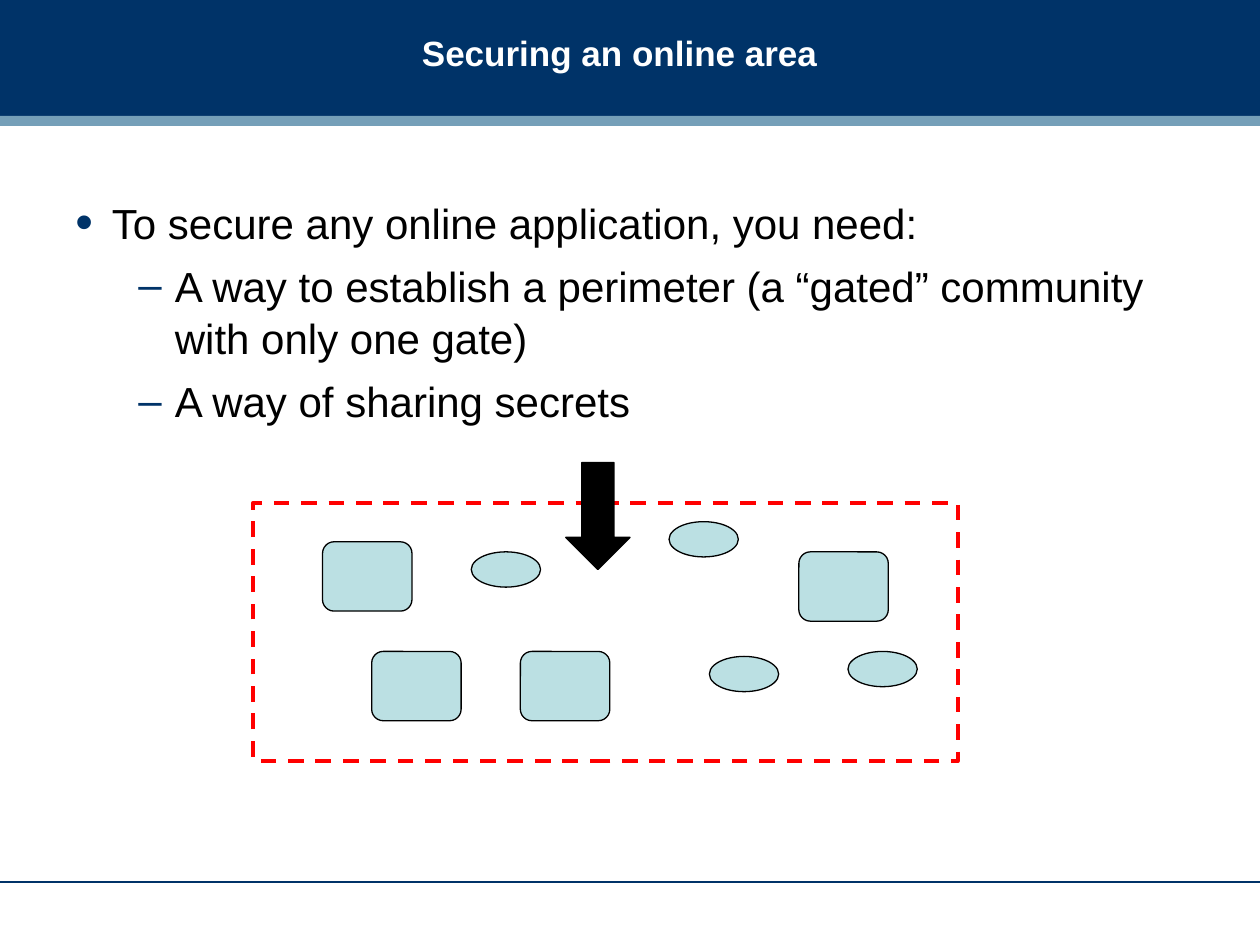
from dataclasses import dataclass

from lxml import etree
from pptx import Presentation
from pptx.dml.color import RGBColor
from pptx.enum import dml, shapes, text
from pptx.oxml.ns import qn
from pptx.util import Inches, Pt


@dataclass(frozen=True)
class Theme:
    navy: str = "003368"
    steel: str = "759FB8"
    asset: str = "BBE0E3"
    perimeter: str = "FF0000"
    ink: str = "000000"
    paper: str = "FFFFFF"
    font: str = "Arial"
    title_size: int = 20
    body_size: int = 24


THEME = Theme()
KIND = shapes.MSO_SHAPE


def rgb(value):
    return RGBColor.from_string(value)


def add_figure(slide, kind, box, fill=None, line=None, width=0.75):
    figure = slide.shapes.add_shape(kind, *map(Inches, box))
    figure.shadow.inherit = False
    if fill:
        figure.fill.solid()
        figure.fill.fore_color.rgb = rgb(fill)
    else:
        figure.fill.background()
    if line:
        figure.line.color.rgb = rgb(line)
        figure.line.width = Pt(width)
    else:
        figure.line.fill.background()
    return figure


def add_rule(slide, top, width):
    rule = slide.shapes.add_connector(
        shapes.MSO_CONNECTOR.STRAIGHT, 0, Inches(top), Inches(width), Inches(top))
    rule.line.color.rgb = rgb(THEME.navy)
    rule.line.width = Pt(0.75)
    etree.SubElement(rule._element.spPr, qn("a:effectLst"))


def add_text_frame(slide, box, anchor):
    frame = slide.shapes.add_textbox(*map(Inches, box)).text_frame
    frame.word_wrap = True
    frame.vertical_anchor = anchor
    return frame


def style_font(font, size, color, bold=False):
    font.name = THEME.font
    font.size = Pt(size)
    font.bold = bold
    font.color.rgb = rgb(color)


def add_bullet(paragraph, mark, indent, scale):
    props = paragraph._p.get_or_add_pPr()
    props.set("marL", str(Inches(indent)))
    props.set("indent", str(Inches(-0.29)))
    color = etree.SubElement(props, qn("a:buClr"))
    etree.SubElement(color, qn("a:srgbClr"), val=THEME.navy)
    etree.SubElement(props, qn("a:buSzPct"), val=str(scale * 1000))
    etree.SubElement(props, qn("a:buFont"), typeface=THEME.font)
    etree.SubElement(props, qn("a:buChar"), char=mark)


def add_header(slide):
    add_figure(slide, KIND.RECTANGLE, (0, 0, 10, 0.92), THEME.navy)
    add_rule(slide, 7, 10)
    add_figure(slide, KIND.RECTANGLE, (0, 0.92, 10, 0.08), THEME.steel)
    title = add_text_frame(slide, (3.25, 0, 6.58, 0.83), text.MSO_ANCHOR.MIDDLE)
    title.text = "Securing an online area"
    style_font(title.paragraphs[0].runs[0].font, THEME.title_size, THEME.paper, True)


def add_perimeter(slide):
    fence = add_figure(slide, KIND.RECTANGLE, (2.01, 3.99, 5.59, 2.05),
                       line=THEME.perimeter, width=2.25)
    fence.line.dash_style = dml.MSO_LINE.DASH

    # Assets inside the perimeter
    assets = (
        (KIND.ROUNDED_RECTANGLE, (0.71, 0.55),
         [(2.56, 4.3), (2.95, 5.17), (6.34, 4.38), (4.13, 5.17)]),
        (KIND.OVAL, (0.55, 0.28),
         [(3.74, 4.38), (6.73, 5.17), (5.63, 5.21), (5.31, 4.14)]),
    )
    for kind, size, corners in assets:
        for corner in corners:
            add_figure(slide, kind, corner + size, THEME.asset, THEME.ink)

    # The single gate
    add_figure(slide, KIND.DOWN_ARROW, (4.49, 3.67, 0.51, 0.85), THEME.ink, THEME.ink)


def add_requirements(slide):
    body = add_text_frame(slide, (0.5, 1.5, 9, 4.95), text.MSO_ANCHOR.TOP)
    requirements = (
        (0, "To secure any online application, you need:"),
        (1, "A way to establish a perimeter (a “gated” community with only one gate)"),
        (1, "A way of sharing secrets"),
    )
    levels = (("•", 0.29, 120), ("–", 0.79, 100))
    body.text = "\n".join(wording for _, wording in requirements)
    for paragraph, (level, _) in zip(body.paragraphs, requirements):
        paragraph.level = level
        paragraph.line_spacing = 1.04
        if level:
            paragraph.space_before = Pt(6)
        add_bullet(paragraph, *levels[level])
        style_font(paragraph.runs[0].font, THEME.body_size, THEME.ink)


def main():
    deck = Presentation()
    deck.slide_width, deck.slide_height = Inches(10), Inches(7.5)
    slide = deck.slides.add_slide(deck.slide_layouts[6])
    add_header(slide)
    add_perimeter(slide)
    add_requirements(slide)
    deck.save("out.pptx")


if __name__ == "__main__":
    main()
